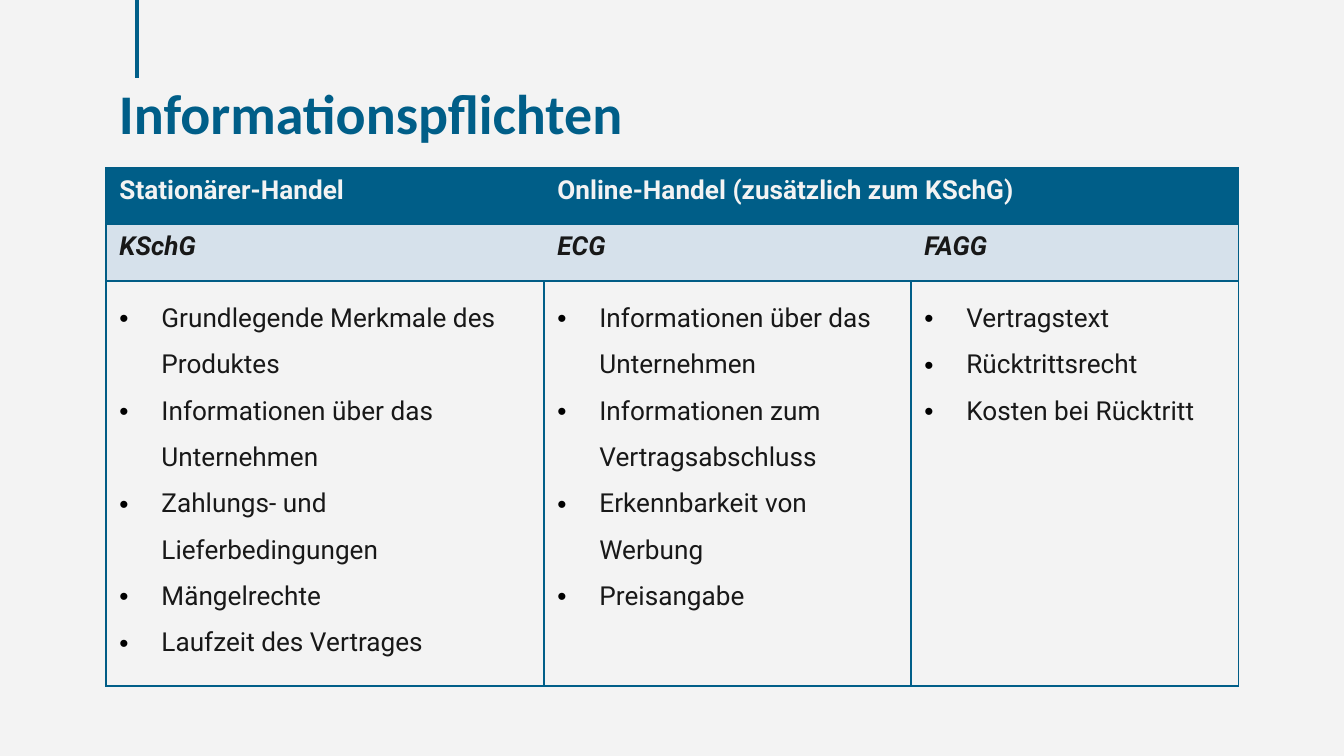
from pptx import Presentation
from pptx.dml.color import RGBColor
from pptx.enum.shapes import MSO_CONNECTOR
from pptx.enum.text import MSO_ANCHOR
from pptx.oxml.ns import qn
from pptx.util import Emu, Pt
from lxml.etree import SubElement

EMU_PER_PX = 914400 / 134.4
SLIDE_WIDTH, SLIDE_HEIGHT = 1344, 756
BLANK_LAYOUT = 6

TABLE_LEFT, TABLE_TOP = 106, 168
COLUMN_WIDTHS = [438, 367, 328]
ROW_HEIGHTS = [56, 57, 405]
HEADERS = ["Stationärer-Handel", "Online-Handel (zusätzlich zum KSchG)"]
LAWS = ["KSchG", "ECG", "FAGG"]
DUTIES = [
    ["Grundlegende Merkmale des Produktes", "Informationen über das Unternehmen",
     "Zahlungs- und Lieferbedingungen", "Mängelrechte", "Laufzeit des Vertrages"],
    ["Informationen über das Unternehmen", "Informationen zum Vertragsabschluss",
     "Erkennbarkeit von Werbung", "Preisangabe"],
    ["Vertragstext", "Rücktrittsrecht", "Kosten bei Rücktritt"],
]


def px(length):
    return Emu(round(length * EMU_PER_PX))


def color(hex_string):
    return RGBColor.from_string(hex_string)


class SlideBuilder:
    BLUE, EDGE, PALE = "005E88", "005C85", "D6E1EB"
    LIGHT, DARK, BLACK = "F3F3F3", "181818", "000000"
    TITLE_FONT, BODY_FONT = "Calibri", "Roboto"
    TITLE_SIZE, BODY_SIZE = 30, 14
    THIN, MEDIUM = 0.75, 1
    INDENT = 42

    def __init__(self, slide):
        self.slide = slide
        slide.background.fill.solid()
        slide.background.fill.fore_color.rgb = color(self.LIGHT)

    def format_runs(self, paragraph, name, size, hex_string, bold=False, italic=False):
        for run in paragraph.runs:
            font = run.font
            font.name, font.size = name, Pt(size)
            font.bold, font.italic = bold, italic
            font.color.rgb = color(hex_string)

    def title(self, text, left, top, width, height):
        text_frame = self.slide.shapes.add_textbox(
            px(left), px(top), px(width), px(height)).text_frame
        text_frame.word_wrap = True
        text_frame.vertical_anchor = MSO_ANCHOR.TOP
        text_frame.margin_left = text_frame.margin_right = px(13)
        text_frame.margin_top = text_frame.margin_bottom = px(13)
        text_frame.text = text
        self.format_runs(text_frame.paragraphs[0], self.TITLE_FONT,
                         self.TITLE_SIZE, self.BLUE, bold=True)

    def line(self, x1, y1, x2, y2, width):
        connector = self.slide.shapes.add_connector(
            MSO_CONNECTOR.STRAIGHT, px(x1), px(y1), px(x2), px(y2))
        connector.line.color.rgb = color(self.BLUE)
        connector.line.width = Pt(width)
        SubElement(connector._element.spPr, qn("a:effectLst"))

    def table(self, left, top, widths, heights):
        table = self.slide.shapes.add_table(
            len(heights), len(widths), px(left), px(top),
            px(sum(widths)), px(sum(heights))).table
        table.first_row = table.horz_banding = False
        for column, width in zip(table.columns, widths):
            column.width = px(width)
        for row, height in zip(table.rows, heights):
            row.height = px(height)
        return table

    def borders(self, cell, left, right, top, bottom):
        """Draw each side at its width in points; 0 leaves the side bare."""
        properties = cell._tc.get_or_add_tcPr()
        for side, width in zip("LRTB", (left, right, top, bottom)):
            border = SubElement(properties, qn(f"a:ln{side}"), w=str(Pt(width)))
            if width:
                fill = SubElement(border, qn("a:solidFill"))
                SubElement(fill, qn("a:srgbClr"),
                           val=self.EDGE if width == self.THIN else self.BLUE)
            else:
                SubElement(border, qn("a:noFill"))

    def fill(self, cell, hex_string=None):
        if hex_string:
            cell.fill.solid()
            cell.fill.fore_color.rgb = color(hex_string)
        else:
            cell.fill.background()

    def label(self, cell, text, hex_string, italic=False):
        cell.text_frame.text = text
        self.format_runs(cell.text_frame.paragraphs[0], self.BODY_FONT,
                         self.BODY_SIZE, hex_string, bold=True, italic=italic)

    def bullets(self, cell, items):
        cell.text_frame.text = "\n".join(items)
        for paragraph in cell.text_frame.paragraphs:
            paragraph.line_spacing = 1.5
            properties = paragraph._p.get_or_add_pPr()
            properties.set("marL", str(px(self.INDENT)))
            properties.set("indent", str(-px(self.INDENT)))
            bullet_color = SubElement(properties, qn("a:buClr"))
            SubElement(bullet_color, qn("a:srgbClr"), val=self.BLACK)
            SubElement(properties, qn("a:buFont"), typeface="Arial")
            SubElement(properties, qn("a:buChar"), char="•")
            self.format_runs(paragraph, self.BODY_FONT, self.BODY_SIZE, self.DARK)


def main():
    presentation = Presentation()
    presentation.slide_width, presentation.slide_height = px(SLIDE_WIDTH), px(SLIDE_HEIGHT)
    slide = presentation.slides.add_slide(presentation.slide_layouts[BLANK_LAYOUT])
    builder = SlideBuilder(slide)
    builder.title("Informationspflichten", 106, 66, 1133, 85)
    builder.line(137, 0, 137, 78, 2.25)

    table = builder.table(TABLE_LEFT, TABLE_TOP, COLUMN_WIDTHS, ROW_HEIGHTS)
    thin, medium = builder.THIN, builder.MEDIUM
    last_column = len(COLUMN_WIDTHS) - 1
    row_styles = [(builder.BLUE, 0, thin, thin), (builder.PALE, 0, thin, thin),
                  (None, medium, thin, medium)]
    for row, (background, inner, top, bottom) in enumerate(row_styles):
        for column in range(len(COLUMN_WIDTHS)):
            cell = table.cell(row, column)
            builder.borders(cell, inner if column else thin,
                            inner if column < last_column else thin, top, bottom)
            builder.fill(cell, background)

    table.cell(0, 1).merge(table.cell(0, last_column))
    for column, header in enumerate(HEADERS):
        builder.label(table.cell(0, column), header, builder.LIGHT)
    for column, (law, duties) in enumerate(zip(LAWS, DUTIES)):
        builder.label(table.cell(1, column), law, builder.DARK, italic=True)
        builder.bullets(table.cell(2, column), duties)

    presentation.save("out.pptx")


if __name__ == "__main__":
    main()
